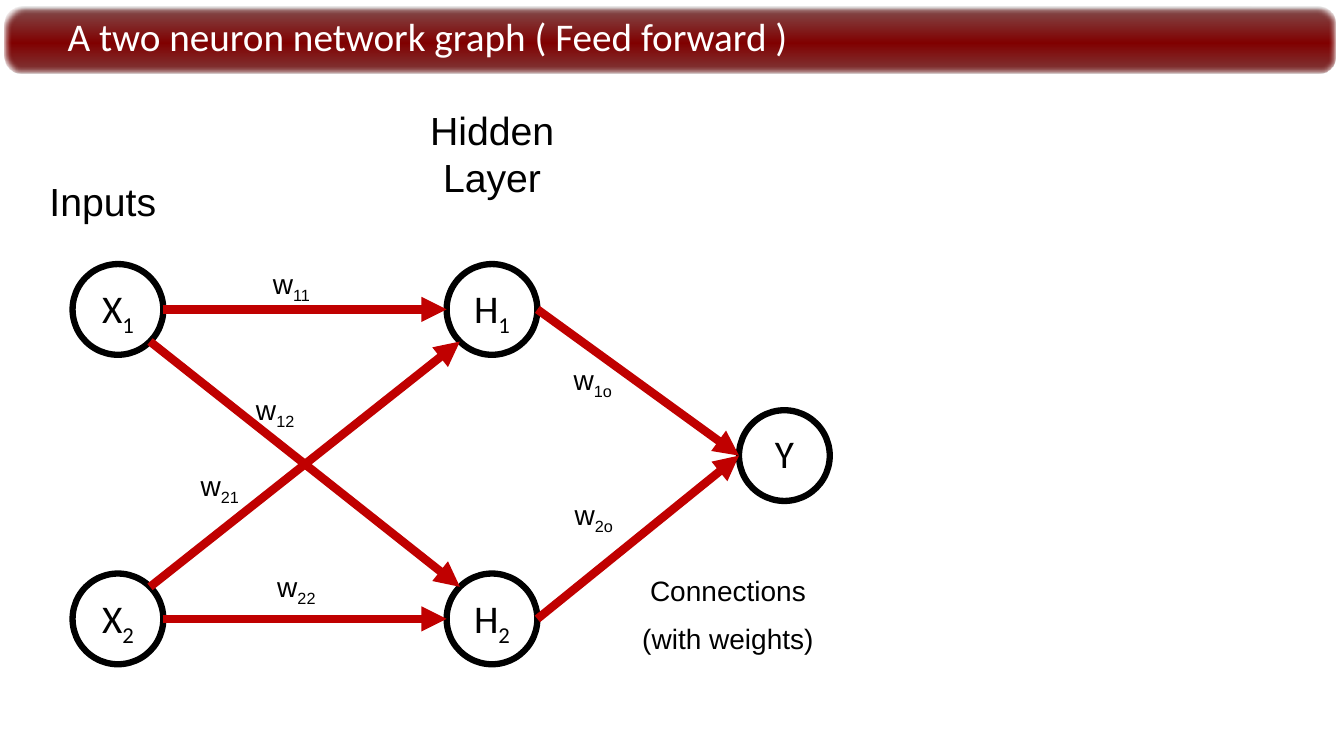
"""Build a slide with a two neuron feed-forward network graph."""
import math

from lxml import etree
from pptx import Presentation, util as u
from pptx.dml.color import RGBColor
from pptx.enum import shapes, text
from pptx.oxml import parse_xml
from pptx.oxml.ns import nsdecls, qn

W, H = 13.33, 7.5
COLORS = {"black": "000000", "white": "FFFFFF", "edge": "C00000"}
BAR_STOPS = [(0, "808080", 50), (5, "814949", 100), (54, "800000", 100),
             (96, "7F3838", 100), (99.9, "7F6060", 100), (100, "808080", 50)]
DIAMETER = 0.9
COLS = {"X": 0.45, "H": 4.16, "Y": 7.06}
ROWS = {"1": 2.07, "2": 5.14, "": 3.52}
EDGES = [("X1", 0, "H1", 180), ("X1", 45, "H2", 225), ("X2", -45, "H1", 135),
         ("X2", 0, "H2", 180), ("H1", 0, "Y", 180), ("H2", 0, "Y", 180)]
WEIGHTS = [("11", 2.17, 1.81), ("21", 1.46, 3.82), ("12", 2.01, 3.06),
           ("22", 2.22, 4.82), ("1o", 5.16, 2.77), ("2o", 5.17, 4.11)]
CAPTIONS = [(["Inputs"], 0.3, 1.0, 1.61, 0.57, 28),
            (["Hidden Layer"], 4.16, 0.53, 1.61, 1.04, 28),
            (["Connections", "(with weights)"], 6.5, 5.11, 2.59, 0.94, 20)]


def rgb(name):
    """Return the named colour."""
    return RGBColor.from_string(COLORS[name])


def inches(*values):
    """Convert numbers to lengths."""
    return [u.Inches(v) for v in values]


def write(p, words, size, font, color="black", sub="", align=text.PP_ALIGN.CENTER):
    """Write words and an optional subscript into a paragraph."""
    p.alignment = align
    p.add_run().text = words
    if sub:
        r = p.add_run()
        r.text = sub
        r._r.get_or_add_rPr().set("baseline", "-25000")
    p.font.size, p.font.name = u.Pt(size), font
    p.font.color.rgb = rgb(color)


def header(s, box, title_text):
    """Place the soft gradient bar and the title over it."""
    x, y, w, h = box
    bar = s.shapes.add_shape(shapes.MSO_SHAPE.ROUNDED_RECTANGLE, *inches(*box))
    bar.adjustments[0] = 0.27
    bar.line.fill.background()
    bar.fill.background()
    stops = "".join(
        f'<a:gs pos="{round(pos * 1000)}"><a:srgbClr val="{color}">'
        f'<a:alpha val="{alpha * 1000}"/></a:srgbClr></a:gs>'
        for pos, color, alpha in BAR_STOPS)
    sp_pr = bar.element.spPr
    sp_pr.replace(sp_pr.find(qn("a:noFill")), parse_xml(
        f'<a:gradFill {nsdecls("a")} rotWithShape="1"><a:gsLst>{stops}</a:gsLst>'
        '<a:lin ang="5400000" scaled="0"/></a:gradFill>'))
    sp_pr.append(parse_xml(
        f'<a:effectLst {nsdecls("a")}><a:softEdge rad="31750"/></a:effectLst>'))

    title = s.shapes.title
    title.element.addprevious(bar.element)
    title.left, title.top, title.width, title.height = inches(
        x + 0.62, y + 0.04, w - 0.77, h - 0.11)
    tf = title.text_frame
    tf.margin_left = tf.margin_right = tf.margin_top = tf.margin_bottom = 0
    tf.vertical_anchor = text.MSO_ANCHOR.MIDDLE
    tf.auto_size, tf.word_wrap = text.MSO_AUTO_SIZE.NONE, True
    p = tf.paragraphs[0]
    p.line_spacing = 0.9
    write(p, title_text, 28, "Calibri", "white", align=text.PP_ALIGN.LEFT)


def node(s, cx, cy, name, index):
    """Draw one neuron centred on a point."""
    r = DIAMETER / 2
    sp = s.shapes.add_shape(shapes.MSO_SHAPE.OVAL,
                            *inches(cx - r, cy - r, DIAMETER, DIAMETER))
    sp.shadow.inherit = False
    sp.fill.solid()
    sp.fill.fore_color.rgb = rgb("white")
    sp.line.color.rgb, sp.line.width = rgb("black"), u.Pt(4.5)
    tf = sp.text_frame
    tf.word_wrap, tf.vertical_anchor = False, text.MSO_ANCHOR.MIDDLE
    p = tf.paragraphs[0]
    p.line_spacing = 0.9
    write(p, name, 28, "Calibri", sub=index)


def edge(s, start, end):
    """Draw one arrow between two points."""
    c = s.shapes.add_connector(shapes.MSO_CONNECTOR.STRAIGHT, *inches(*start, *end))
    c.line.color.rgb, c.line.width = rgb("edge"), u.Pt(6)
    etree.SubElement(c.line._get_or_add_ln(), qn("a:tailEnd"), type="triangle")
    etree.SubElement(c.element.spPr, qn("a:effectLst"))


def label(s, cx, cy, w, h, lines, size, sub=""):
    """Place centred lines of text around a point."""
    tf = s.shapes.add_textbox(*inches(cx - w / 2, cy - h / 2, w, h)).text_frame
    tf.word_wrap = True
    for i, line in enumerate(lines):
        p = tf.add_paragraph() if i else tf.paragraphs[0]
        if i:
            p.space_before = u.Pt(size / 2)
        write(p, line, size, "Arial", sub=sub)


def network(s, box):
    """Draw the neurons, weighted connections and captions."""
    x, y = box[:2]

    def centre(name):
        return x + COLS[name[0]], y + ROWS[name[1:]]

    def rim(name, angle):
        cx, cy = centre(name)
        a = math.radians(angle)
        return cx + DIAMETER / 2 * math.cos(a), cy + DIAMETER / 2 * math.sin(a)

    for name in ("X1", "X2", "H1", "H2", "Y"):
        node(s, *centre(name), name[0], name[1:])
    for source, out_angle, target, in_angle in EDGES:
        edge(s, rim(source, out_angle), rim(target, in_angle))
    for lines, cx, cy, w, h, size in CAPTIONS:
        label(s, x + cx, y + cy, w, h, lines, size)
    for index, cx, cy in WEIGHTS:
        label(s, x + cx, y + cy, 1.8, 0.44, ["w"], 20, index)


def main():
    """Build and save the slide."""
    prs = Presentation()
    prs.slide_width, prs.slide_height = inches(W, H)
    s = prs.slides.add_slide(prs.slide_layouts[5])
    header(s, (0.05, 0.07, W - 0.13, 0.66),
           "A two neuron network graph ( Feed forward )")
    network(s, (0.72, 1.0, 7.8, 5.6))
    prs.save("out.pptx")


if __name__ == "__main__":
    main()
